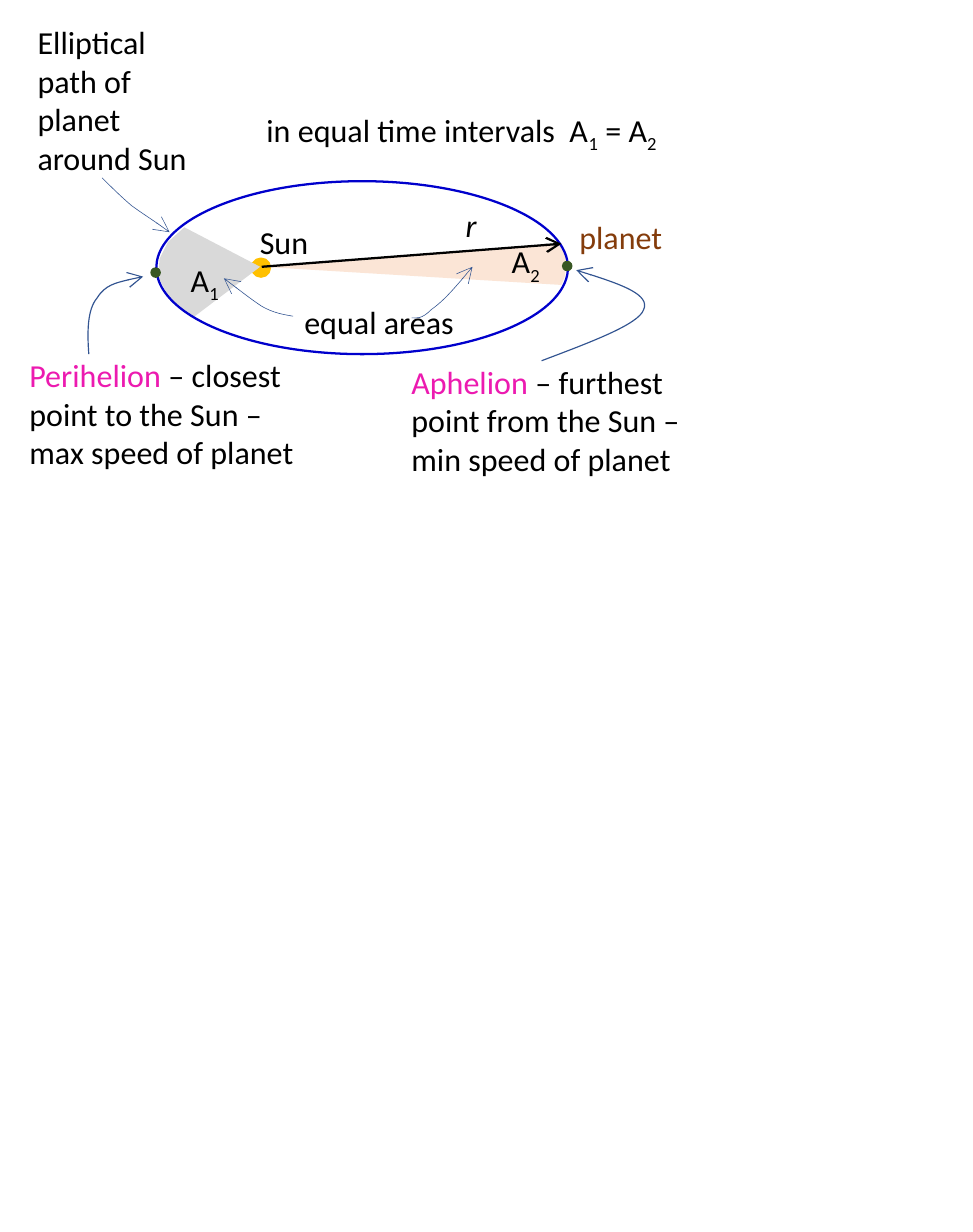
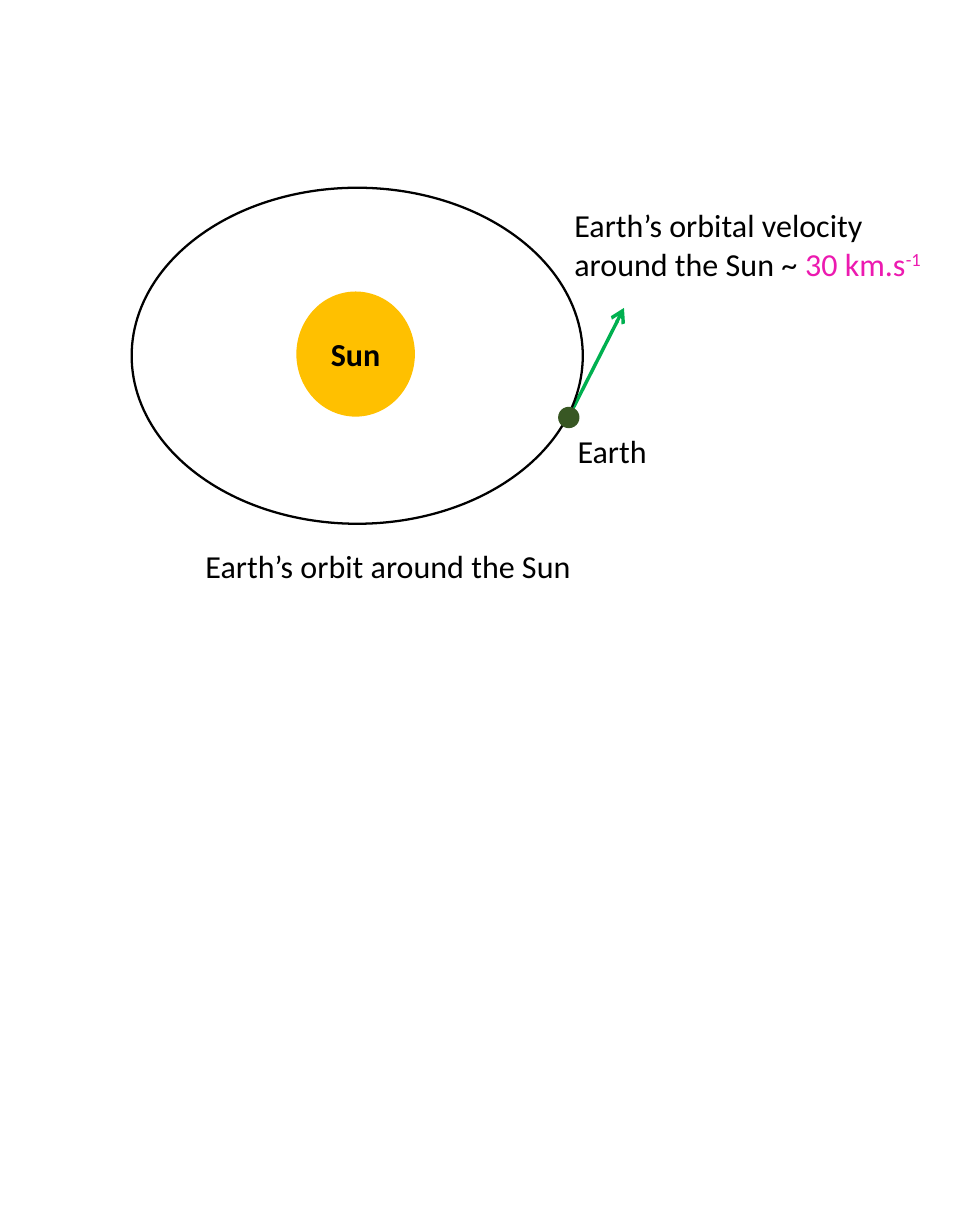
import pptx
import pptx.dml.color
import pptx.enum.shapes
import pptx.enum.text
import pptx.oxml.ns
import pptx.oxml.xmlchemy
import pptx.util

PX = 9144
BLACK = "000000"
PINK = "EC1AB0"
GOLD = "FFC000"
GREEN = "385723"
POINTER = "325491"


def color(hex_string):
    return pptx.dml.color.RGBColor.from_string(hex_string)


def px(*lengths):
    return [pptx.util.Emu(length * PX) for length in lengths]


def element(tag):
    return pptx.oxml.xmlchemy.OxmlElement(tag)


class Sketch:
    font = "Calibri"
    size = 14

    def __init__(self, width, height):
        self.deck = pptx.Presentation()
        self.deck.slide_width, self.deck.slide_height = px(width, height)

    def new_slide(self):
        self.shapes = self.deck.slides.add_slide(self.deck.slide_layouts[6]).shapes

    def paint(self, shape, fill=None, line=None, weight=1):
        shape.shadow.inherit = False
        if fill:
            shape.fill.solid()
            shape.fill.fore_color.rgb = color(fill)
        else:
            shape.fill.background()
        if line:
            self.stroke(shape, line, weight)
        else:
            shape.line.fill.background()

    def stroke(self, shape, line, weight):
        shape.line.color.rgb = color(line)
        shape.line.width = pptx.util.Pt(weight)

    def arrowhead(self, shape):
        tail = element("a:tailEnd")
        tail.set("type", "arrow")
        shape.line._get_or_add_ln().append(tail)

    def format(self, run, ink=BLACK, base=0, bold=False, italic=False):
        run.font.name = self.font
        run.font.size = pptx.util.Pt(self.size)
        run.font.color.rgb = color(ink)
        run.font.bold = bold
        run.font.italic = italic
        if base:
            run._r.get_or_add_rPr().set("baseline", str(base * 1000))

    def text(self, left, top, width, height, *parts, wrap=False):
        frame = self.shapes.add_textbox(*px(left, top, width, height)).text_frame
        frame.word_wrap = wrap
        frame.auto_size = pptx.enum.text.MSO_AUTO_SIZE.SHAPE_TO_FIT_TEXT
        for words, style in parts:
            run = frame.paragraphs[0].add_run()
            run.text = words
            self.format(run, **style)

    def ellipse(self, left, top, width, height, fill=None, line=None, label=None):
        oval = self.shapes.add_shape(
            pptx.enum.shapes.MSO_SHAPE.OVAL, *px(left, top, width, height))
        self.paint(oval, fill, line)
        if label:
            frame = oval.text_frame
            frame.text = label
            frame.vertical_anchor = pptx.enum.text.MSO_ANCHOR.MIDDLE
            frame.paragraphs[0].alignment = pptx.enum.text.PP_ALIGN.CENTER
            self.format(frame.paragraphs[0].runs[0], bold=True)

    def outline(self, points, close):
        builder = self.shapes.build_freeform(*points[0], scale=PX)
        builder.add_line_segments(points[1:], close=close)
        return builder.convert_to_shape()

    def sector(self, points, fill):
        self.paint(self.outline(points, True), fill)

    def curved_arrow(self, points, weight):
        curve = self.outline(points, False)
        self.paint(curve, line=POINTER, weight=weight)
        self.arrowhead(curve)
        segments = list(curve._element.iter(pptx.oxml.ns.qn("a:lnTo")))
        for start in range(0, len(segments), 3):
            bezier = element("a:cubicBezTo")
            segments[start].addprevious(bezier)
            for segment in segments[start:start + 3]:
                bezier.append(segment[0])
                segment.getparent().remove(segment)

    def arrow(self, start, end, line, weight):
        vector = self.shapes.add_connector(
            pptx.enum.shapes.MSO_CONNECTOR.STRAIGHT, *px(*start, *end))
        self.stroke(vector, line, weight)
        self.arrowhead(vector)
        vector._element.spPr.append(element("a:effectLst"))


def equal_areas(sketch):
    sketch.new_slide()
    sun = (159, 162)
    planet = (341, 148)
    subscript = {"base": -25}
    sketch.ellipse(153, 157, 11, 11, GOLD, GOLD)
    sketch.sector([(158, 162), (112, 138), (102, 147), (97, 157), (96, 168),
                   (103, 181), (109, 186), (117, 193)], "D9D9D9")
    sketch.sector([sun, planet, (343, 155), (344, 160), (343, 168), (341, 173)],
                  "FBE5D6")
    sketch.ellipse(95, 110, 250, 105, line="0000CC")
    for left, top, number in [(106, 153, "1"), (301, 142, "2")]:
        sketch.text(left, top, 38, 34, ("A", {}), (number, subscript))
    for left, top in [(92, 163), (342, 159)]:
        sketch.ellipse(left, top, 5, 5, GREEN, GREEN)

    for left, top, width, name, meaning in [
        (8, 211, 198, "Perihelion", " – closest point to the Sun – max speed of planet"),
        (240, 215, 205, "Aphelion", " – furthest point from the Sun – min speed of planet"),
    ]:
        sketch.text(left, top, width, 81, (name, {"ink": PINK}), (meaning, {}), wrap=True)

    sketch.text(152, 62, 266, 34, ("in equal time intervals  A", {}), ("1", subscript),
                (" = A", {}), ("2", subscript))
    sketch.text(175, 179, 112, 34, ("equal areas", {}))
    sketch.text(148, 130, 50, 34, ("Sun", {}))
    sketch.text(342, 127, 71, 34, ("planet", {"ink": "843C0B"}))
    sketch.text(13, 9, 123, 104, ("Elliptical path of planet around Sun", {}), wrap=True)

    for weight, points in [
        (0.5, [(54, 215), (53, 202), (53, 188), (59, 181), (64, 173), (76, 170), (87, 168)]),
        (0.5, [(329, 219), (358, 208), (388, 197), (391, 188), (395, 179), (373, 171), (350, 164)]),
        (0.25, [(250, 193), (253, 193), (256, 194), (262, 188), (269, 183), (278, 173), (287, 162)]),
        (0.25, [(178, 192), (172, 191), (166, 190), (159, 186), (153, 182), (144, 175), (136, 169)]),
        (0.25, [(62, 108), (67, 113), (73, 119), (80, 125), (87, 130), (95, 135), (103, 141)]),
    ]:
        sketch.curved_arrow(points, weight)
    sketch.arrow(sun, planet, BLACK, 1)
    sketch.text(273, 120, 27, 34, ("r", {"italic": True}))


def earth_orbit(sketch):
    sketch.new_slide()
    sketch.arrow((346, 252), (379, 187), "00B050", 1.5)
    sketch.ellipse(180, 177, 72, 76, GOLD, label="Sun")
    sketch.ellipse(80, 114, 274, 204, line=BLACK)
    sketch.ellipse(339, 247, 13, 13, GREEN)
    sketch.text(341, 257, 63, 34, ("Earth", {}))
    sketch.text(115, 327, 244, 34, ("Earth’s orbit around the Sun", {}))
    sketch.text(339, 120, 242, 57, ("Earth’s orbital velocity around the Sun ~ ", {}),
                ("30 km.s", {"ink": PINK}), ("-1", {"ink": PINK, "base": 30}), wrap=True)


def main():
    sketch = Sketch(591, 748)
    equal_areas(sketch)
    earth_orbit(sketch)
    sketch.deck.save("out.pptx")


if __name__ == "__main__":
    main()
